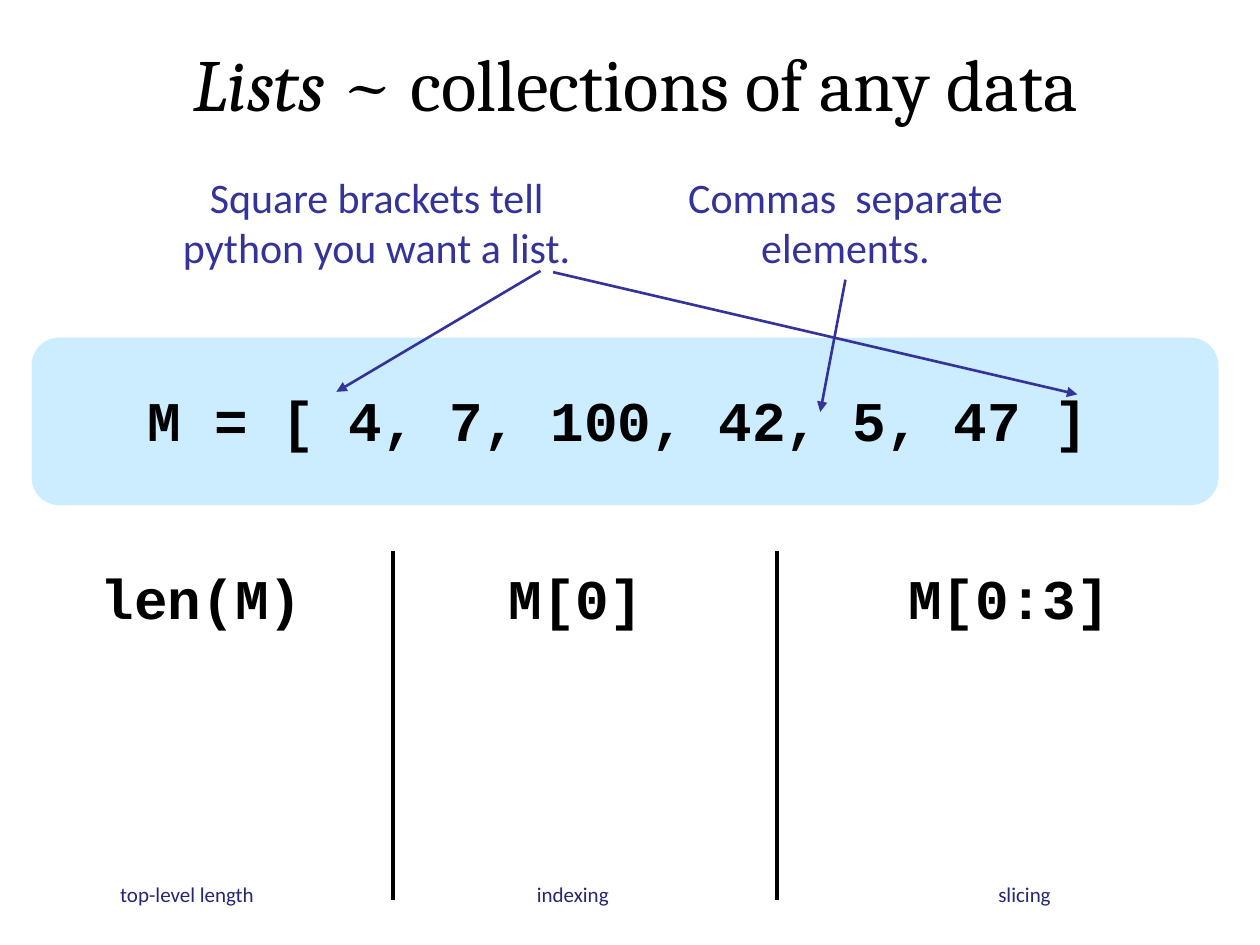
from typing import NamedTuple

import pptx
import pptx.dml.color
import pptx.enum.shapes
import pptx.enum.text
import pptx.oxml
import pptx.oxml.ns
import pptx.util

Inches = pptx.util.Inches
Pt = pptx.util.Pt

BLACK = "000000"
INDIGO = "333399"
NAVY = "262673"
PALE_BLUE = "CCECFF"


class Style(NamedTuple):
    font: str
    size: int
    color: str
    bold: bool = False


class Label(NamedTuple):
    text: str
    left: float
    top: float
    width: float
    height: float
    style: Style
    wrap: bool = True


class Line(NamedTuple):
    start: tuple[float, float]
    end: tuple[float, float]
    color: str
    weight: float
    arrow: bool = False


class Operation(NamedTuple):
    code: str
    code_left: float
    caption: str
    caption_left: float
    caption_width: float


TITLE = Style("Cambria", 42, BLACK)
CODE = Style("Courier New", 32, BLACK, bold=True)
NOTE = Style("Calibri", 24, INDIGO)
CAPTION = Style("Calibri", 12, NAVY)

LABELS = [
    Label("M = [ 4, 7, 100, 42, 5, 47 ] ", 0.25, 3.01, 9.58, 0.63, CODE),
    Label("Square brackets tell python you want a list.", 1.33, 1.31, 3.32, 0.91, NOTE),
    Label("Commas  separate elements.", 5, 1.31, 3.42, 0.91, NOTE),
]
ARROWS = [
    Line((6.71, 2.22), (6.51, 3.27), INDIGO, 1.5, arrow=True),
    Line((4.39, 2.16), (8.55, 3.13), INDIGO, 1.5, arrow=True),
    Line((4.29, 2.15), (2.67, 3.11), INDIGO, 1.5, arrow=True),
]
DIVIDERS = [Line((x, 4.37), (x, 7.14), BLACK, 2.25) for x in (3.12, 6.17)]
OPERATIONS = [
    Operation("len(M)", 0.67, "top-level length", 0.85, 1.27),
    Operation("M[0]", 3.64, "indexing ", 4.16, 0.81),
    Operation("M[0:3]", 7.08, "slicing ", 7.82, 0.66),
]


def rgb(value: str) -> pptx.dml.color.RGBColor:
    return pptx.dml.color.RGBColor.from_string(value)


def style_paragraph(paragraph, style: Style) -> None:
    paragraph.alignment = pptx.enum.text.PP_ALIGN.CENTER
    paragraph.font.name = style.font
    paragraph.font.size = Pt(style.size)
    paragraph.font.bold = style.bold
    paragraph.font.color.rgb = rgb(style.color)


def add_title(slide) -> None:
    title = slide.shapes.title
    title.left, title.top = Inches(1.17), Inches(0.25)
    title.width, title.height = Inches(7.75), Inches(0.81)
    frame = title.text_frame
    frame.auto_size = pptx.enum.text.MSO_AUTO_SIZE.NONE
    frame.vertical_anchor = pptx.enum.text.MSO_ANCHOR.TOP
    paragraph = frame.paragraphs[0]
    subject = paragraph.add_run()
    subject.text = "Lists "
    subject.font.italic = True
    paragraph.add_run().text = "~ collections of any data"
    style_paragraph(paragraph, TITLE)


def add_code_panel(slide) -> None:
    panel = slide.shapes.add_shape(
        pptx.enum.shapes.MSO_SHAPE.ROUNDED_RECTANGLE,
        Inches(0.25), Inches(2.68), Inches(9.42), Inches(1.33),
    )
    panel.shadow.inherit = False
    panel.fill.solid()
    panel.fill.fore_color.rgb = rgb(PALE_BLUE)
    panel.line.fill.background()


def add_label(slide, label: Label) -> None:
    box = slide.shapes.add_textbox(
        Inches(label.left), Inches(label.top), Inches(label.width), Inches(label.height)
    )
    frame = box.text_frame
    frame.word_wrap = label.wrap
    frame.auto_size = pptx.enum.text.MSO_AUTO_SIZE.SHAPE_TO_FIT_TEXT
    frame.text = label.text
    style_paragraph(frame.paragraphs[0], label.style)


def add_line(slide, line: Line) -> None:
    connector = slide.shapes.add_connector(
        pptx.enum.shapes.MSO_CONNECTOR.STRAIGHT,
        *(Inches(value) for value in line.start + line.end),
    )
    connector.line.color.rgb = rgb(line.color)
    connector.line.width = Pt(line.weight)
    properties = connector._element.spPr
    if line.arrow:
        head = pptx.oxml.parse_xml(
            f'<a:tailEnd {pptx.oxml.ns.nsdecls("a")} type="triangle"/>'
        )
        connector.line._get_or_add_ln().append(head)
    properties.append(
        pptx.oxml.parse_xml(f'<a:effectLst {pptx.oxml.ns.nsdecls("a")}/>')
    )


def add_operation(slide, operation: Operation) -> None:
    add_label(slide, Label(operation.code, operation.code_left, 4.42, 1.86, 0.63, CODE))
    add_label(slide, Label(operation.caption, operation.caption_left, 6.95,
                           operation.caption_width, 0.3, CAPTION, wrap=False))


def main() -> None:
    deck = pptx.Presentation()
    deck.slide_width, deck.slide_height = Inches(10), Inches(7.5)
    slide = deck.slides.add_slide(deck.slide_layouts.get_by_name("Title Only"))
    add_title(slide)
    add_code_panel(slide)
    for label in LABELS:
        add_label(slide, label)
    for line in ARROWS + DIVIDERS:
        add_line(slide, line)
    for operation in OPERATIONS:
        add_operation(slide, operation)
    deck.save("out.pptx")


if __name__ == "__main__":
    main()
